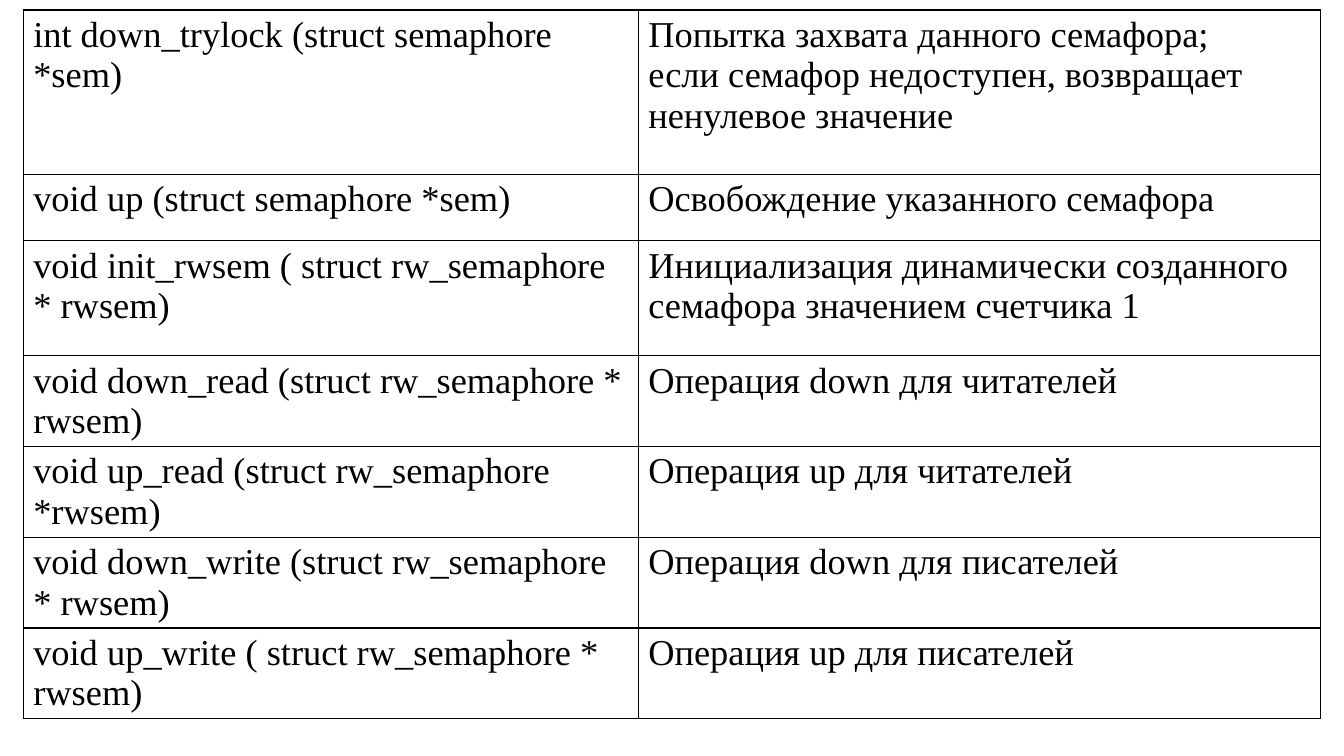
from dataclasses import dataclass

import lxml.etree
import pptx
import pptx.dml.color
import pptx.oxml.ns
import pptx.table
import pptx.util

Inches = pptx.util.Inches
RGBColor = pptx.dml.color.RGBColor

BLACK = RGBColor(0, 0, 0)
WHITE = RGBColor(255, 255, 255)
FONT = "Times New Roman"
SIZE = pptx.util.Pt(26)
WIDTHS = (6.1, 6.77)


@dataclass
class Call:
    code: str
    notes: tuple[str, ...]
    height: float = 0.9


CALLS = [
    Call("int down_trylock (struct semaphore *sem)",
         ("Попытка захвата данного семафора;",
          "если семафор недоступен, возвращает",
          "ненулевое значение"), 1.63),
    Call("void up (struct semaphore *sem)",
         ("Освобождение указанного семафора",), 0.66),
    Call("void init_rwsem ( struct rw_semaphore * rwsem)",
         ("Инициализация динамически созданного семафора значением счетчика 1",), 1.14),
    Call("void down_read (struct rw_semaphore * rwsem)",
         ("Операция down для читателей",)),
    Call("void up_read (struct rw_semaphore *rwsem)",
         ("Операция up для читателей",)),
    Call("void down_write (struct rw_semaphore * rwsem)",
         ("Операция down для писателей",)),
    Call("void up_write ( struct rw_semaphore * rwsem)",
         ("Операция up для писателей",)),
]


def add_edges(cell: pptx.table._Cell) -> None:
    """Draw a thin line on all four sides of a cell."""
    qn = pptx.oxml.ns.qn
    props = cell._tc.get_or_add_tcPr()
    for spot, side in enumerate(("a:lnL", "a:lnR", "a:lnT", "a:lnB")):
        line = lxml.etree.Element(qn(side), w=str(pptx.util.Pt(1)))
        fill = lxml.etree.SubElement(line, qn("a:solidFill"))
        lxml.etree.SubElement(fill, qn("a:srgbClr"), val=str(BLACK))
        props.insert(spot, line)


def fill_cell(cell: pptx.table._Cell, lines: tuple[str, ...]) -> None:
    """Write one paragraph per line and format the cell."""
    cell.fill.solid()
    cell.fill.fore_color.rgb = WHITE
    add_edges(cell)
    frame = cell.text_frame
    for index, text in enumerate(lines):
        para = frame.add_paragraph() if index else frame.paragraphs[0]
        run = para.add_run()
        run.text = text
        run.font.name = FONT
        run.font.size = SIZE
        run.font.bold = False
        run.font.color.rgb = BLACK


def main() -> None:
    deck = pptx.Presentation()
    deck.slide_width = Inches(13.33)
    deck.slide_height = Inches(7.5)
    slide = deck.slides.add_slide(deck.slide_layouts[6])

    # Table grid
    total = sum(call.height for call in CALLS)
    frame = slide.shapes.add_table(
        len(CALLS), len(WIDTHS), Inches(0.23), Inches(0.1),
        Inches(sum(WIDTHS)), Inches(total))
    table = frame.table
    table.first_row = False
    table.horz_banding = False
    for column, width in zip(table.columns, WIDTHS):
        column.width = Inches(width)

    # Semaphore calls
    for row, call in zip(table.rows, CALLS):
        row.height = Inches(call.height)
        fill_cell(row.cells[0], (call.code,))
        fill_cell(row.cells[1], call.notes)

    deck.save("out.pptx")


if __name__ == "__main__":
    main()
